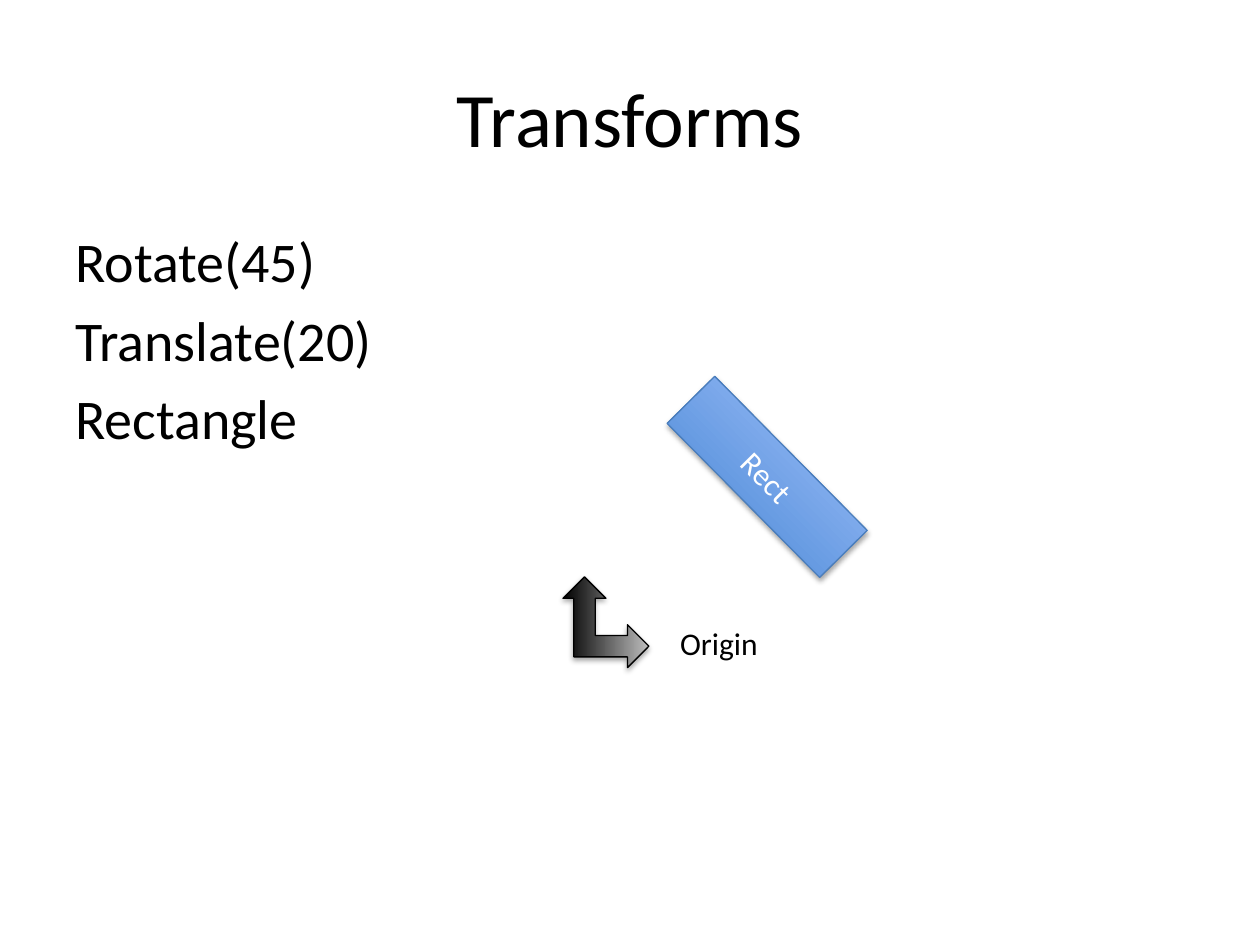
"""Build a slide that shows the order of geometric transforms."""
import dataclasses

import lxml.etree
import pptx
import pptx.dml.color
import pptx.enum.shapes
import pptx.enum.text
import pptx.oxml.ns
import pptx.util

Cm = pptx.util.Cm
Pt = pptx.util.Pt
MSO_SHAPE = pptx.enum.shapes.MSO_SHAPE
PP_ALIGN = pptx.enum.text.PP_ALIGN
MSO_ANCHOR = pptx.enum.text.MSO_ANCHOR


@dataclasses.dataclass(frozen=True)
class Theme:
    """Colours, font and type sizes of the slide."""

    font: str = "Calibri"
    title_size: float = 44
    body_size: float = 32
    label_size: float = 18
    text: str = "000000"
    light_text: str = "FFFFFF"
    blue_gradient: tuple = ("3F80CE", "A4C4FF")
    blue_line: str = "4B7EBC"
    black_gradient: tuple = ("000000", "BDBDBD")
    black_line: str = "000000"
    shadow: str = "000000"


THEME = Theme()


def rgb(value):
    """Return a colour object for a hexadecimal string."""
    return pptx.dml.color.RGBColor.from_string(value)


def place(shape, left, top, width, height):
    """Set the position and size of a shape."""
    shape.left, shape.top, shape.width, shape.height = left, top, width, height


def write_lines(shape, lines, size, color, align=PP_ALIGN.LEFT,
                anchor=MSO_ANCHOR.TOP, wrap=True, space_before=0):
    """Write one paragraph for each line of text."""
    frame = shape.text_frame
    frame.word_wrap = wrap
    frame.vertical_anchor = anchor
    for index, line in enumerate(lines):
        paragraph = frame.add_paragraph() if index else frame.paragraphs[0]
        paragraph.alignment = align
        paragraph.space_before = Pt(space_before)
        run = paragraph.add_run()
        run.text = line
        run.font.name = THEME.font
        run.font.size = Pt(size)
        run.font.color.rgb = rgb(color)


def add_soft_shadow(shape):
    """Give a shape a soft shadow that falls straight down."""
    shape.shadow.inherit = False
    qn = pptx.oxml.ns.qn
    effects = shape._element.spPr.find(qn("a:effectLst"))
    shadow = lxml.etree.SubElement(
        effects, qn("a:outerShdw"), blurRad=str(Pt(3.1)), dist=str(Pt(1.8)),
        dir="5400000", rotWithShape="0")
    color = lxml.etree.SubElement(shadow, qn("a:srgbClr"), val=THEME.shadow)
    lxml.etree.SubElement(color, qn("a:alpha"), val="35000")


def add_gradient_shape(slide, kind, box, rotation, gradient, line):
    """Add a rotated shape with a gradient that rises from its base."""
    shape = slide.shapes.add_shape(kind, *box)
    shape.rotation = rotation
    shape.fill.gradient()
    shape.fill.gradient_angle = 90
    for stop, color in zip(shape.fill.gradient_stops, gradient):
        stop.color.rgb = rgb(color)
    shape.line.color.rgb = rgb(line)
    shape.line.width = Pt(0.75)
    add_soft_shadow(shape)
    return shape


def add_text(slide, box, lines, size, **options):
    """Add a text box in the main text colour."""
    shape = slide.shapes.add_textbox(*box)
    write_lines(shape, lines, size, THEME.text, **options)


def main():
    """Build and save the slide."""
    presentation = pptx.Presentation()
    presentation.slide_width, presentation.slide_height = Cm(25.4), Cm(19.05)
    slide = presentation.slides.add_slide(presentation.slide_layouts[5])
    centred = {"align": PP_ALIGN.CENTER, "anchor": MSO_ANCHOR.MIDDLE}

    title = slide.shapes.title
    place(title, Cm(1.27), Cm(0.76), Cm(22.86), Cm(3.18))
    write_lines(title, ["Transforms"], THEME.title_size, THEME.text, **centred)

    add_text(slide, (Cm(1.27), Cm(4.45), Cm(22.86), Cm(12.57)),
             ["Rotate(45)", "Translate(20)", "Rectangle"],
             THEME.body_size, space_before=0.2 * THEME.body_size)

    rectangle = add_gradient_shape(
        slide, MSO_SHAPE.RECTANGLE, (Cm(13.28), Cm(8.94), Cm(4.37), Cm(1.35)),
        45.3, THEME.blue_gradient, THEME.blue_line)
    write_lines(rectangle, ["Rect"], THEME.label_size, THEME.light_text, **centred)

    add_gradient_shape(
        slide, MSO_SHAPE.LEFT_UP_ARROW, (Cm(11.3), Cm(11.68), Cm(1.83), Cm(1.73)),
        90, THEME.black_gradient, THEME.black_line)
    add_text(slide, (Cm(13.46), Cm(12.45), Cm(2.08), Cm(1.02)),
             ["Origin"], THEME.label_size, wrap=False)

    presentation.save("out.pptx")


if __name__ == "__main__":
    main()
